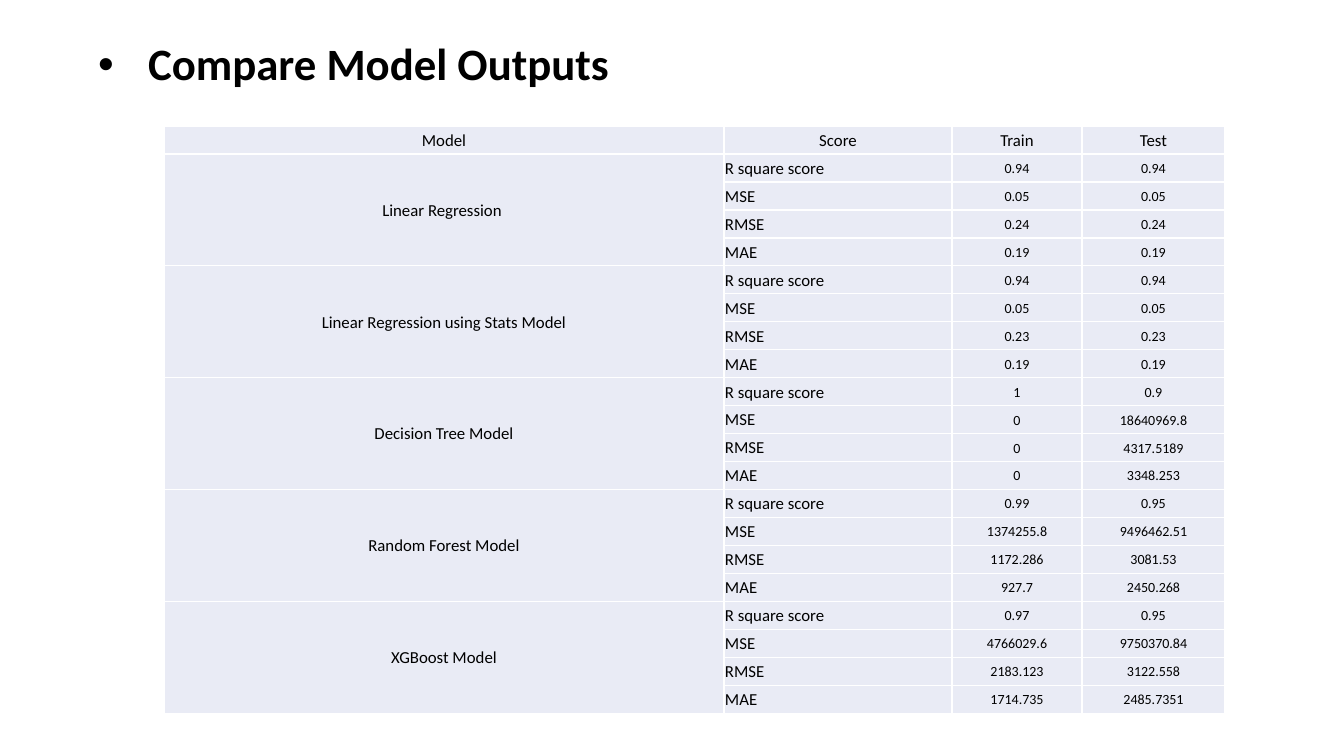
from lxml.etree import SubElement
from pptx import Presentation
from pptx.dml.color import RGBColor
from pptx.enum.text import MSO_ANCHOR, MSO_AUTO_SIZE, PP_ALIGN
from pptx.oxml import parse_xml
from pptx.oxml.ns import nsdecls, qn
from pptx.util import Emu, Pt

BLACK = RGBColor(0x00, 0x00, 0x00)
WHITE = RGBColor(0xFF, 0xFF, 0xFF)
PALE_BLUE = RGBColor(0xE9, 0xEB, 0xF5)

HEADERS = ["Model", "Score", "Train", "Test"]
METRICS = ["R square score", "MSE", "RMSE", "MAE"]
RESULTS = {
    "Linear Regression ": (
        ["0.94", "0.05", "0.24", "0.19"],
        ["0.94", "0.05", "0.24", "0.19"]),
    "Linear Regression using Stats Model": (
        ["0.94", "0.05", "0.23", "0.19"],
        ["0.94", "0.05", "0.23", "0.19"]),
    "Decision Tree Model": (
        ["1", "0", "0", "0"],
        ["0.9", "18640969.8", "4317.5189", "3348.253"]),
    "Random Forest Model": (
        ["0.99", "1374255.8", "1172.286", "927.7"],
        ["0.95", "9496462.51", "3081.53", "2450.268"]),
    "XGBoost Model": (
        ["0.97", "4766029.6", "2183.123", "1714.735"],
        ["0.95", "9750370.84", "3122.558", "2485.7351"]),
}


def px(n):
    return Emu(round(n * 914400 / 100.8))


class Deck:
    font = "Calibri"
    text_size = 12
    number_size = 10

    def __init__(self, width, height):
        self.prs = Presentation()
        self.prs.slide_width, self.prs.slide_height = px(width), px(height)
        self.slide = self.prs.slides.add_slide(self.prs.slide_layouts[5])

    def run(self, p, text, size, bold=False):
        r = p.add_run()
        r.text = text
        r.font.name = self.font
        r.font.size = Pt(size)
        r.font.bold = bold
        r.font.color.rgb = BLACK

    def title(self, text, x, y, w, h, size, hang):
        sp = self.slide.shapes.title
        sp.left, sp.top, sp.width, sp.height = map(px, (x, y, w, h))
        tf = sp.text_frame
        tf.word_wrap = True
        tf.auto_size = MSO_AUTO_SIZE.NONE
        tf.vertical_anchor = MSO_ANCHOR.MIDDLE
        p = tf.paragraphs[0]
        p.alignment = PP_ALIGN.LEFT
        p.line_spacing = 0.9
        pPr = p._p.get_or_add_pPr()
        pPr.set("marL", str(px(hang)))
        pPr.set("indent", str(-px(hang)))
        SubElement(pPr, qn("a:buFont"), typeface="Arial")
        SubElement(pPr, qn("a:buChar"), char="•")
        self.run(p, text, size, bold=True)

    def table(self, x, y, col_widths, row_height, rows):
        frame = self.slide.shapes.add_table(
            rows, len(col_widths), px(x), px(y),
            px(sum(col_widths)), px(row_height * rows))
        table = frame.table
        table.first_row = table.horz_banding = False
        for col, width in zip(table.columns, col_widths):
            col.width = px(width)
        for row in table.rows:
            row.height = px(row_height)
        for cell in table.iter_cells():
            self.style_cell(cell)
        return table

    def style_cell(self, cell):
        cell.margin_left = cell.margin_right = cell.margin_top = px(1)
        cell.margin_bottom = 0
        cell.vertical_anchor = MSO_ANCHOR.MIDDLE
        cell.fill.solid()
        cell.fill.fore_color.rgb = PALE_BLUE
        tcPr = cell._tc.get_or_add_tcPr()
        for i, side in enumerate("LRTB"):
            tcPr.insert(i, parse_xml(
                f'<a:ln{side} {nsdecls("a")} w="{Pt(1)}"><a:solidFill>'
                f'<a:srgbClr val="{WHITE}"/></a:solidFill></a:ln{side}>'))

    def cell(self, cell, text, size=text_size, align=PP_ALIGN.CENTER):
        p = cell.text_frame.paragraphs[0]
        p.alignment = align
        self.run(p, text, size)


def main():
    deck = Deck(1344, 756)
    deck.title("Compare Model Outputs", 88, 20, 1159, 93, size=32, hang=50)

    step = len(METRICS)
    table = deck.table(164, 126, [560, 228, 130, 143], 28,
                       1 + step * len(RESULTS))
    for col, header in enumerate(HEADERS):
        deck.cell(table.cell(0, col), header)
    for i, (model, (train, test)) in enumerate(RESULTS.items()):
        top = 1 + i * step
        table.cell(top, 0).merge(table.cell(top + step - 1, 0))
        deck.cell(table.cell(top, 0), model)
        for row, (metric, *scores) in enumerate(zip(METRICS, train, test), top):
            deck.cell(table.cell(row, 1), metric, align=PP_ALIGN.LEFT)
            for col, score in enumerate(scores, 2):
                deck.cell(table.cell(row, col), score, deck.number_size)

    deck.prs.save("out.pptx")


if __name__ == "__main__":
    main()
